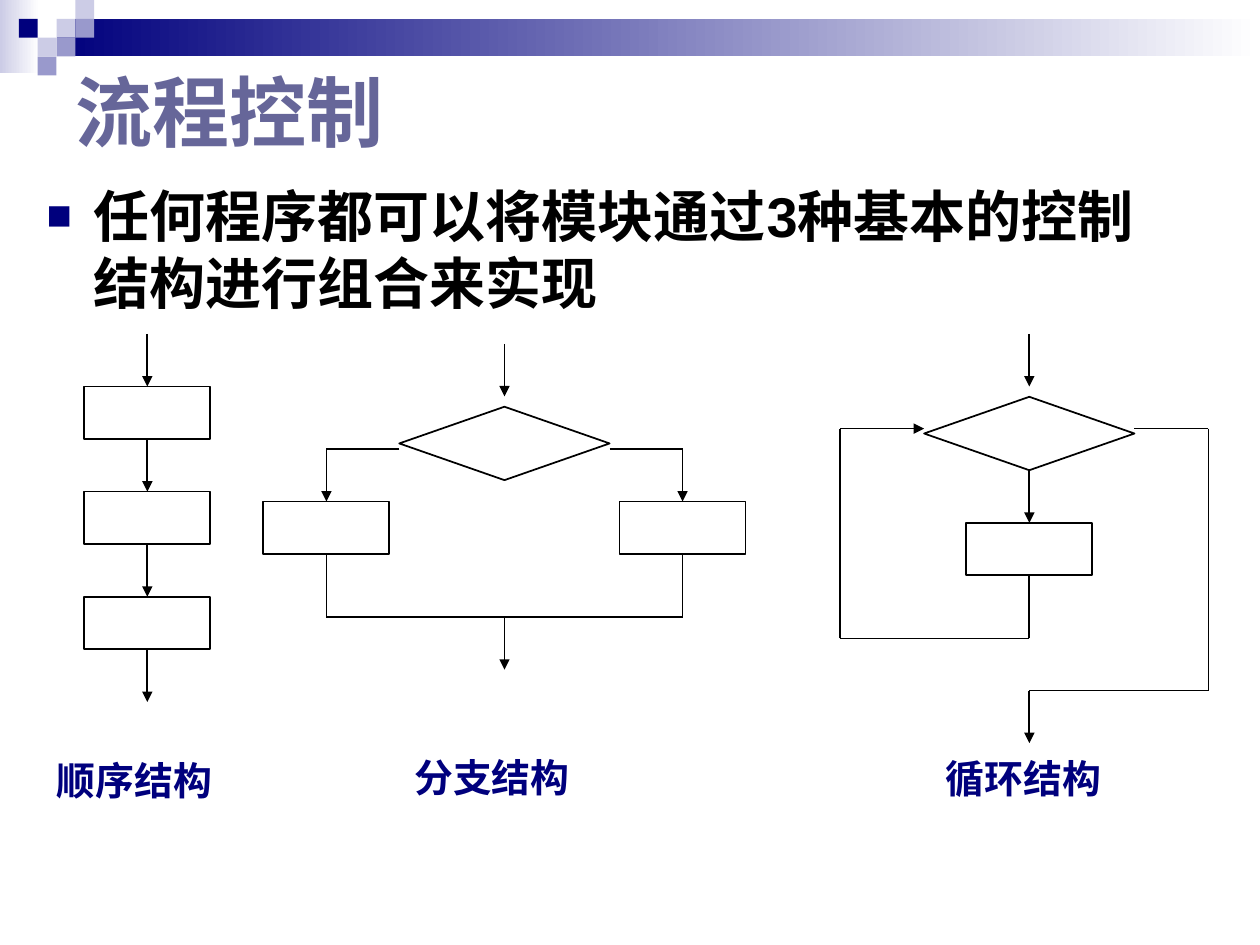
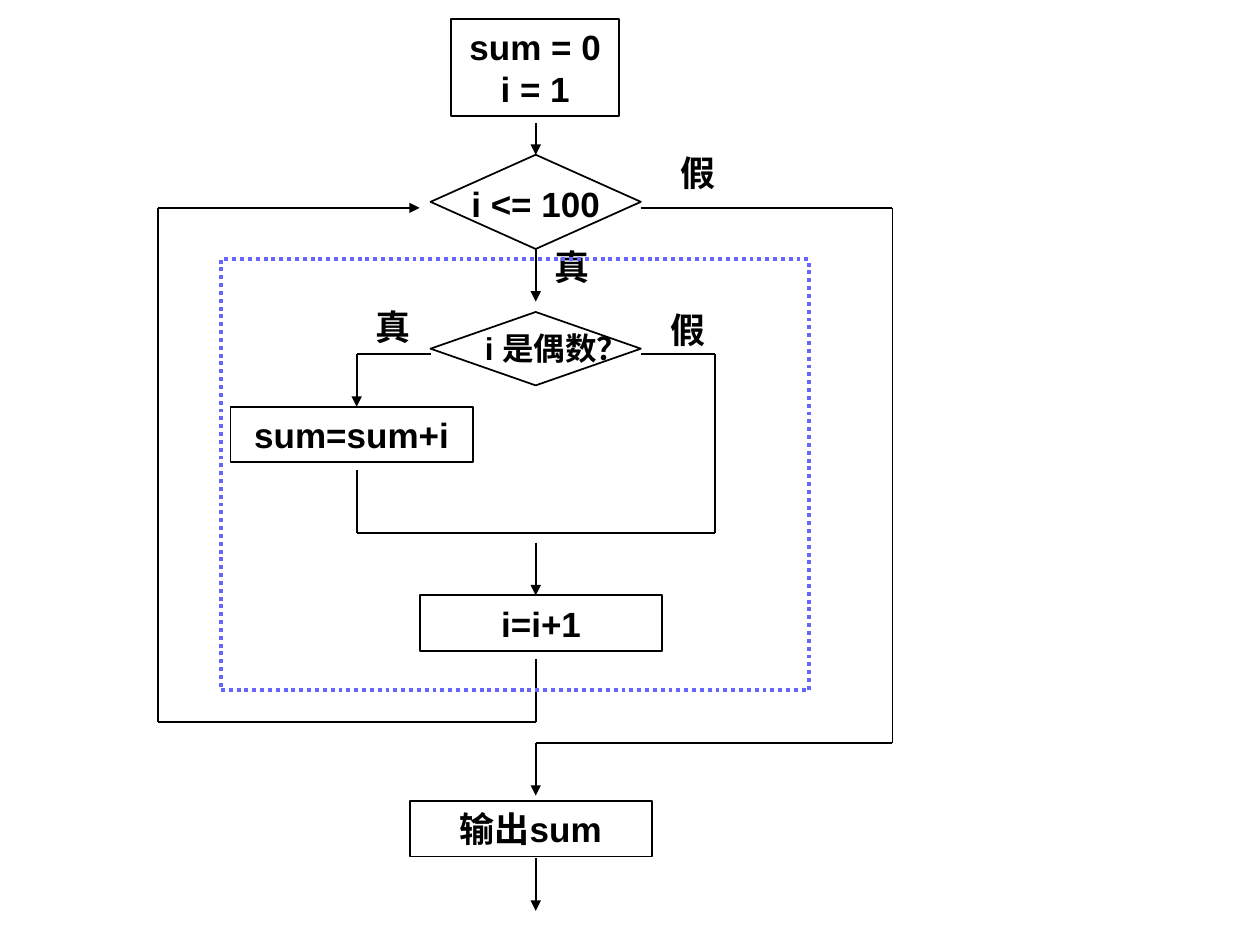
from lxml.etree import SubElement
from pptx import Presentation
from pptx.dml.color import RGBColor
from pptx.enum.dml import MSO_LINE
from pptx.enum.shapes import MSO_CONNECTOR, MSO_SHAPE
from pptx.enum.text import MSO_ANCHOR, PP_ALIGN
from pptx.oxml.ns import qn
from pptx.util import Cm, Pt

NAVY = RGBColor(0x00, 0x00, 0x7D)
MIST = RGBColor(0xCC, 0xCC, 0xE6)
LILAC = RGBColor(0x99, 0x99, 0xCC)
SLATE = RGBColor(0x66, 0x66, 0x99)
VIOLET = RGBColor(0x65, 0x65, 0xFF)
BLACK = RGBColor(0, 0, 0)
WHITE = RGBColor(0xFF, 0xFF, 0xFF)

LATIN = "Arial"
HAN = "Noto Sans CJK SC"

TILE = 0.38             # side of a corner tile
STEP = 1.06             # length of an arrow and height of a blank box
WIDE = 2.54             # width of a blank box
HALF = 2.12             # half the width of a diamond
DROP = 1.27             # from a box down to the line that leaves it
TALL = 1.48             # height of a flat diamond
CODE = (4.88, 1.12)     # size of a box with one line of code


def write(frame, lines, size, color=BLACK, font=LATIN, align=PP_ALIGN.LEFT):
    frame.word_wrap = True
    for i, line in enumerate(lines):
        para = frame.add_paragraph() if i else frame.paragraphs[0]
        para.alignment = align
        run = para.add_run()
        run.text = line
        run.font.size = Pt(size)
        run.font.bold = True
        run.font.name = font
        run.font.color.rgb = color
        SubElement(run.font._element, qn("a:ea"), typeface=font)


class Region:
    """Draws on a slide, measuring in cm from the region's top left."""

    def __init__(self, slide, left, top):
        self.shapes = slide.shapes
        self.left, self.top = left, top

    def spot(self, x, y):
        return Cm(self.left + x), Cm(self.top + y)

    def shape(self, kind, x, y, wide, high):
        shape = self.shapes.add_shape(kind, *self.spot(x, y), Cm(wide), Cm(high))
        shape.shadow.inherit = False
        return shape

    def block(self, x, y, color, wide=TILE, high=TILE, fade=False):
        shape = self.shape(MSO_SHAPE.RECTANGLE, x, y, wide, high)
        shape.line.fill.background()
        if fade:
            shape.fill.gradient()
            shape.fill.gradient_angle = 0
            for stop, tone in zip(shape.fill.gradient_stops, (color, WHITE)):
                stop.color.rgb = tone
        else:
            shape.fill.solid()
            shape.fill.fore_color.rgb = color

    def box(self, x, y, wide=WIDE, high=STEP, lines=(), kind=MSO_SHAPE.RECTANGLE):
        shape = self.shape(kind, x, y, wide, high)
        shape.fill.background()
        shape.line.color.rgb = BLACK
        shape.line.width = Pt(1)
        write(shape.text_frame, lines, 20, align=PP_ALIGN.CENTER)
        return shape

    def diamond(self, mid, y, high=TALL):
        return self.box(mid - HALF, y, 2 * HALF, high, kind=MSO_SHAPE.DIAMOND)

    def text(self, x, y, wide, high, line, size, **style):
        area = self.shapes.add_textbox(*self.spot(x, y), Cm(wide), Cm(high))
        write(area.text_frame, [line], size, **style)
        return area.text_frame

    def label(self, x, y, line, wide=1.48, size=20):
        self.text(x, y, wide, CODE[1], line, size, align=PP_ALIGN.CENTER)

    def caption(self, x, y, line):
        frame = self.text(x, y, 4.88, 1.07, line, 22.2, color=NAVY, font=HAN)
        frame.paragraphs[0].line_spacing = 0.8

    def wire(self, *points, arrow=True, start=None, end=None):
        """Runs straight lines through the points; start and end are (shape, side)."""
        for a, b in zip(points, points[1:]):
            link = self.shapes.add_connector(
                MSO_CONNECTOR.STRAIGHT, *self.spot(*a), *self.spot(*b))
            link.line.color.rgb = BLACK
            link.line.width = Pt(1)
            props = link.element.spPr
            if arrow and b == points[-1]:
                SubElement(props.find(qn("a:ln")), qn("a:tailEnd"), type="triangle")
            SubElement(props, qn("a:effectLst"))
            if start and a == points[0]:
                link.begin_connect(*start)
            if end and b == points[-1]:
                link.end_connect(*end)


def band(slide):
    area = Region(slide, 0, 0)
    area.block(0, 0, MIST, 0.79, 1.47, fade=True)
    area.block(3 * TILE, TILE, NAVY, 24.26, 2 * TILE, fade=True)
    tiles = [(3, 1, MIST), (4, 0, MIST), (4, 1, LILAC), (2, 2, MIST),
             (1, 1, NAVY), (3, 2, LILAC), (2, 3, LILAC)]
    for col, row, color in tiles:
        area.block(col * TILE, row * TILE, color)


def heading(slide, title, point):
    area = Region(slide, 0.69, 0.33)
    frame = area.text(0.58, 0, 22.86, 3.81, title, 44, color=SLATE)
    frame.vertical_anchor = MSO_ANCHOR.MIDDLE
    frame = area.text(0, 3.2, 22.43, 3.23, point, 32)
    props = frame.paragraphs[0]._p.get_or_add_pPr()
    props.set("marL", str(Cm(0.95)))
    props.set("indent", str(-Cm(0.95)))
    tint = SubElement(props, qn("a:buClr"))
    SubElement(tint, qn("a:srgbClr"), val=str(NAVY))
    SubElement(props, qn("a:buSzPct"), val="75000")
    SubElement(props, qn("a:buFont"), typeface=LATIN)
    SubElement(props, qn("a:buChar"), char="■")


def series(slide, left, top):
    area = Region(slide, left, top)
    mid = WIDE / 2
    boxes = [area.box(0, STEP * (2 * i + 1)) for i in range(3)]
    for i in range(4):
        area.wire((mid, 2 * i * STEP), (mid, (2 * i + 1) * STEP),
                  start=(boxes[i - 1], 2) if i else None,
                  end=(boxes[i], 0) if i < 3 else None)
    area.caption(-0.81, 8.58, "顺序结构")


def branch(slide, left, top):
    area = Region(slide, left, top)
    mid, low = 4.86, 4 * STEP + DROP
    area.wire((mid, 0), (mid, STEP))
    area.diamond(mid, DROP)
    for sign in (-1, 1):
        side = mid + sign * 3.59
        box = area.box(side - WIDE / 2, 3 * STEP)
        area.wire((mid + sign * HALF, 2 * STEP), (side, 2 * STEP),
                  (side, 3 * STEP), end=(box, 0))
        area.wire((side, 4 * STEP), (side, low), (mid, low),
                  arrow=False, start=(box, 2))
    area.wire((mid, low), (mid, low + STEP))
    area.caption(2.79, 8.31, "分支结构")


def loop(slide, left, top):
    area = Region(slide, left, top)
    mid, turn, right, low = 3.81, 1.91, 7.42, 7.19
    area.wire((mid, 0), (mid, STEP))
    test = area.diamond(mid, DROP)
    foot = DROP + TALL
    box = area.box(mid - WIDE / 2, foot + STEP)
    area.wire((mid, foot), (mid, foot + STEP), start=(test, 2), end=(box, 0))
    base = foot + 2 * STEP
    area.wire((mid, base), (mid, base + DROP), (0, base + DROP),
              (0, turn), (mid - HALF, turn), start=(box, 2))
    area.wire((mid + HALF, turn), (right, turn), (right, low),
              (mid, low), (mid, low + STEP))
    area.caption(1.88, 8.54, "循环结构")


def total(slide, left, top):
    """The outer flow that adds up the sum, from first values to output."""
    area = Region(slide, left, top)
    mid, turn, right = 7.62, 3.81, 14.81
    area.box(5.92, 0, 3.38, 1.96, ["sum = 0", "i = 1"])
    test = area.diamond(mid, 2.74, 1.9)
    area.wire((mid, 2.11), (mid, 2.74), end=(test, 0))
    area.wire((mid, 4.64), (mid, 5.7), start=(test, 2))
    area.wire((mid, 12.9), (mid, 14.17), (0, 14.17), (0, turn), (5.28, turn))
    area.wire((mid + HALF, turn), (right, turn), (right, 14.6),
              (mid, 14.6), (mid, 14.6 + STEP))
    area.label(mid - HALF, 3.18, "i <= 100", 2 * HALF)
    area.label(mid, 4.44, "真")
    area.label(10.16, 2.54, "假")
    area.box(5.08, 15.77, *CODE, ["输出sum"])
    area.wire((mid, 16.92), (mid, 16.92 + STEP))


def body(slide, left, top):
    """The dotted frame with the steps done on each turn of the loop."""
    area = Region(slide, left, top)
    mid, turn, yes, no, low = 6.35, 1.91, 2.74, 9.96, 5.51
    frame = area.box(0, 0, 11.86, 8.69)
    frame.line.color.rgb = VIOLET
    frame.line.width = Pt(2.25)
    frame.line.dash_style = MSO_LINE.ROUND_DOT
    area.diamond(mid, STEP)
    area.label(4.65, DROP, "i 是偶数？", 2 * HALF, 18)
    area.wire((mid - HALF, turn), (yes, turn), (yes, turn + STEP))
    area.wire((mid + HALF, turn), (no, turn), (no, low), (yes, low),
              (yes, low - DROP), arrow=False)
    area.box(0.2, turn + STEP, *CODE, ["sum=sum+i"])
    area.wire((mid, 5.71), (mid, 5.71 + STEP))
    area.box(4.02, 5.71 + STEP, *CODE, ["i=i+1"])
    area.label(yes, 0.81, "真")
    area.label(8.69, 0.86, "假")


def main():
    deck = Presentation()
    deck.slide_width, deck.slide_height = Cm(25.4), Cm(19.05)
    blank = deck.slide_layouts[6]

    first = deck.slides.add_slide(blank)
    band(first)
    heading(first, "流程控制", "任何程序都可以将模块通过3种基本的控制结构进行组合来实现")
    series(first, 1.7, 6.73)
    branch(first, 5.31, 6.93)
    loop(first, 16.94, 6.73)

    second = deck.slides.add_slide(blank)
    total(second, 3.18, 0.38)
    body(second, 4.45, 5.23)

    deck.save("out.pptx")


if __name__ == "__main__":
    main()
